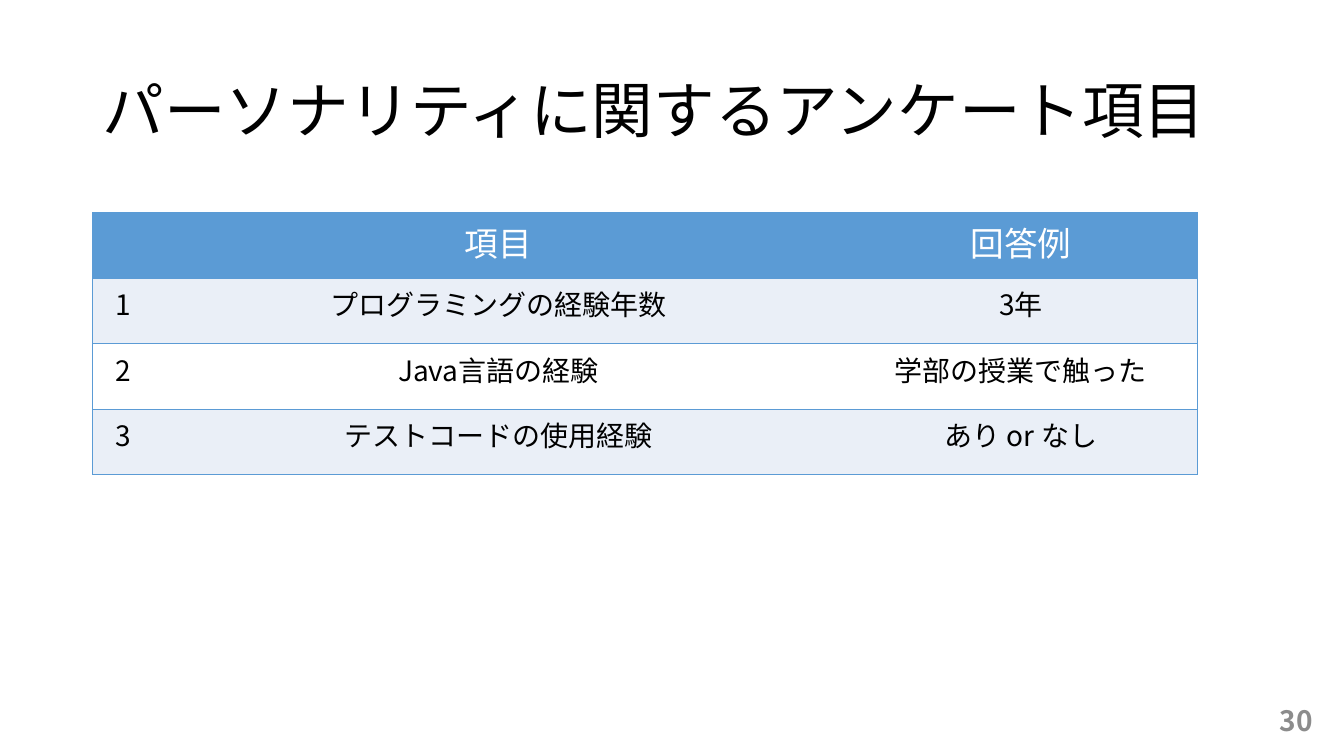
from lxml import etree
from pptx import Presentation
from pptx.dml.color import RGBColor
from pptx.enum.text import MSO_ANCHOR, PP_ALIGN
from pptx.oxml.ns import qn
from pptx.util import Inches, Pt

LEFT, CENTER, RIGHT = PP_ALIGN.LEFT, PP_ALIGN.CENTER, PP_ALIGN.RIGHT
MIDDLE = MSO_ANCHOR.MIDDLE

BLACK = RGBColor(0x00, 0x00, 0x00)
WHITE = RGBColor(0xFF, 0xFF, 0xFF)
GRAY = RGBColor(0x8C, 0x8C, 0x8C)
BLUE = RGBColor(0x5B, 0x9B, 0xD5)
PALE_BLUE = RGBColor(0xEA, 0xEF, 0xF7)

FONT = "Noto Sans CJK JP"
SLIDE_WIDTH, SLIDE_HEIGHT = 13.33, 7.5
MARGIN = 0.92
COLUMN_WIDTHS = [0.6, 6.85, 3.51]
ROW_HEIGHT = 0.65

SURVEY_ROWS = [
    ("", "項目", "回答例"),
    ("1", "プログラミングの経験年数", "3年"),
    ("2", "Java言語の経験", "学部の授業で触った"),
    ("3", "テストコードの使用経験", "あり or なし"),
]


def write_text(text_frame, text, size, color, align, bold=False):
    paragraph = text_frame.paragraphs[0]
    paragraph.text = text
    paragraph.alignment = align
    font = paragraph.font
    font.name, font.size, font.bold = FONT, Pt(size), bold
    font.color.rgb = color
    # East Asian text takes its typeface from a separate element
    properties = paragraph._p.pPr.find(qn("a:defRPr"))
    etree.SubElement(properties, qn("a:ea"), typeface=FONT)
    return paragraph


def add_label(slide, box, text, size, color, align, bold=False):
    shape = slide.shapes.add_textbox(*(Inches(length) for length in box))
    text_frame = shape.text_frame
    text_frame.word_wrap = True
    text_frame.vertical_anchor = MIDDLE
    return write_text(text_frame, text, size, color, align, bold)


def set_borders(cell, sides):
    properties = cell._tc.get_or_add_tcPr()
    # Border lines come before the fill, in the order left, right, top, bottom
    for position, side in enumerate("LRTB"):
        line = etree.Element(qn(f"a:ln{side}"), w=str(Pt(1)))
        if side in sides:
            fill = etree.SubElement(line, qn("a:solidFill"))
            etree.SubElement(fill, qn("a:srgbClr"), val=str(BLUE))
        else:
            etree.SubElement(line, qn("a:noFill"))
        properties.insert(position, line)


def add_survey_table(slide, left, top):
    row_count, column_count = len(SURVEY_ROWS), len(COLUMN_WIDTHS)
    table = slide.shapes.add_table(
        row_count, column_count, Inches(left), Inches(top),
        Inches(sum(COLUMN_WIDTHS)), Inches(ROW_HEIGHT * row_count)).table
    for column, width in zip(table.columns, COLUMN_WIDTHS):
        column.width = Inches(width)

    for row_index, texts in enumerate(SURVEY_ROWS):
        table.rows[row_index].height = Inches(ROW_HEIGHT)
        is_header = row_index == 0
        band = PALE_BLUE if row_index % 2 else WHITE
        for column_index, text in enumerate(texts):
            cell = table.cell(row_index, column_index)
            cell.fill.solid()
            cell.fill.fore_color.rgb = BLUE if is_header else band
            write_text(cell.text_frame, text, 24 if is_header else 20,
                       WHITE if is_header else BLACK, CENTER)
            # Outer frame and row lines, with no lines between columns
            sides = "TB"
            if column_index == 0:
                sides += "L"
            if column_index == column_count - 1:
                sides += "R"
            set_borders(cell, sides)


def main():
    presentation = Presentation()
    presentation.slide_width = Inches(SLIDE_WIDTH)
    presentation.slide_height = Inches(SLIDE_HEIGHT)
    slide = presentation.slides.add_slide(presentation.slide_layouts[6])

    # Title
    title = add_label(slide, (MARGIN, 0.4, SLIDE_WIDTH - 2 * MARGIN, 1.45),
                      "パーソナリティに関するアンケート項目", 44, BLACK, LEFT)
    title.line_spacing = 0.9

    # Survey items
    add_survey_table(slide, MARGIN, 2.11)

    # Slide number
    add_label(slide, (10.12, 6.95, 3, 0.4), "30", 20, GRAY, RIGHT, bold=True)

    presentation.save("out.pptx")


if __name__ == "__main__":
    main()
